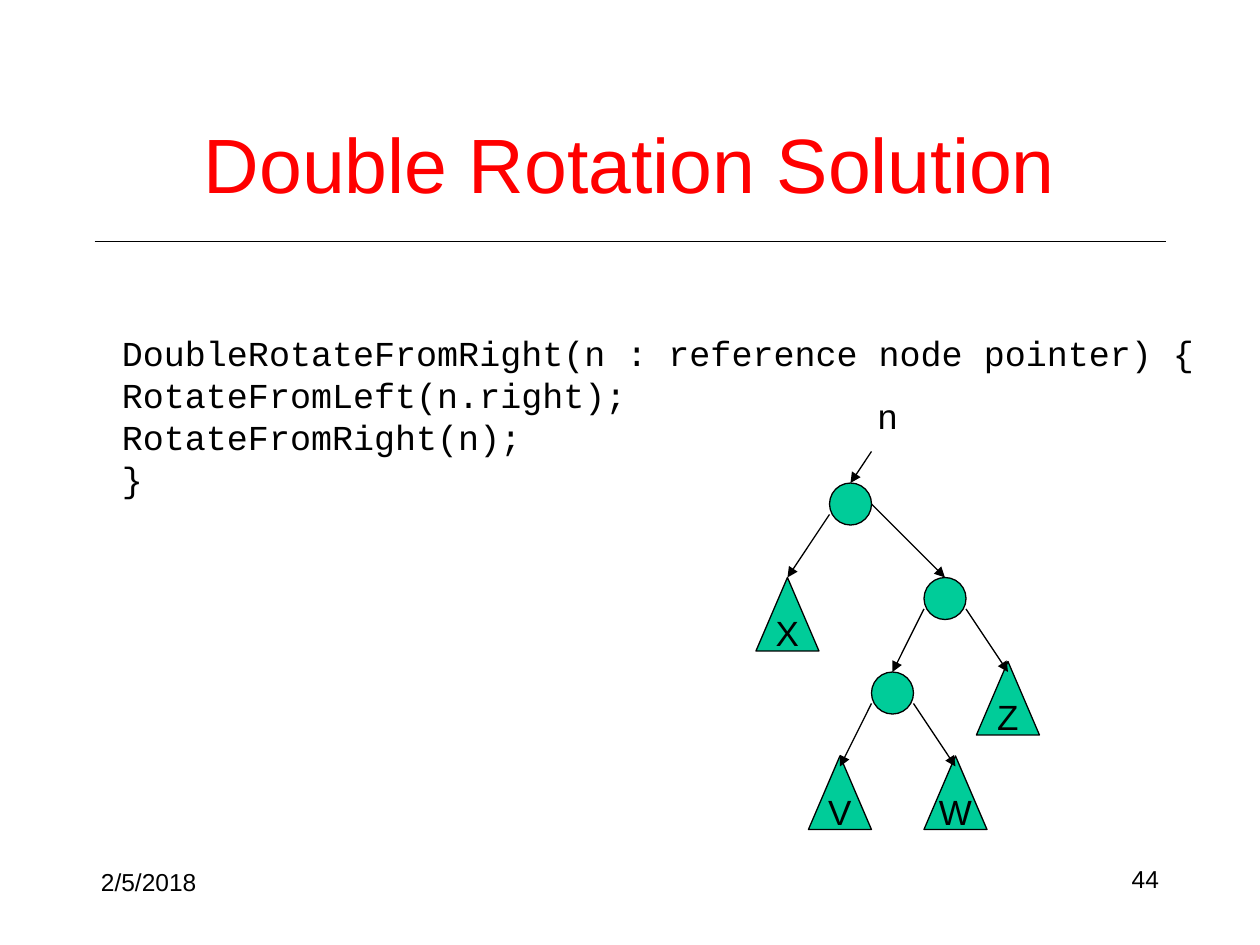
import pptx
import pptx.util
import pptx.dml.color
import pptx.enum.shapes
import pptx.enum.text
import pptx.oxml
import pptx.oxml.ns

Cm = pptx.util.Cm
Pt = pptx.util.Pt
ALIGN = pptx.enum.text.PP_ALIGN
ANCHOR = pptx.enum.text.MSO_ANCHOR
FIT = pptx.enum.text.MSO_AUTO_SIZE
SHAPE = pptx.enum.shapes.MSO_SHAPE
STRAIGHT = pptx.enum.shapes.MSO_CONNECTOR.STRAIGHT

THEME = {
    "text": "000000", "title": "FF0000", "node": "00CC99", "line": "000000",
    "sans": "Arial", "mono": "Courier New",
    "title_size": 44, "body_size": 20, "footer_size": 14, "line_width": 0.75,
}
GRID = 2.54 / 12
INSET = 0.13
CIRCLE = 4
TRIANGLE = (6, 7)
LABEL_HEIGHT = 1.04

CODE = [
    "DoubleRotateFromRight(n : reference node pointer) {",
    "RotateFromLeft(n.right);",
    "RotateFromRight(n);",
    "}",
]
NODES = {"root": (81, 46), "right": (90, 55), "middle": (85, 64)}
SUBTREES = {
    "X": (75, 55, 0.76), "V": (80, 72, 0.76),
    "W": (91, 72, 0.97), "Z": (96, 63, 0.71),
}
EDGES = [
    ((83, 43), (81, 46), "root"),
    ((79, 49), (75, 55), "X"),
    ((83, 48), (90, 55), "right"),
    ((88, 58), (85, 64), "middle"),
    ((92, 58), (96, 64), None),
    ((83, 67), (80, 73), None),
    ((87, 67), (91, 73), None),
]


def grid(n):
    return Cm(n * GRID)


def color(name):
    return pptx.dml.color.RGBColor.from_string(THEME[name])


def apply(target, values):
    for name, value in values.items():
        setattr(target, name, value)


def add_text(shapes, box, lines, size="body_size", font="sans", ink="text",
             frame=None, para=None):
    tf = shapes.add_textbox(*box).text_frame
    margins = dict.fromkeys(
        ["margin_left", "margin_top", "margin_right", "margin_bottom"], Cm(INSET))
    apply(tf, {"word_wrap": True, **margins, **(frame or {})})
    for i, line in enumerate(lines):
        p = tf.add_paragraph() if i else tf.paragraphs[0]
        apply(p, para or {})
        r = p.add_run()
        r.text = line
        apply(r.font, {"name": THEME[font], "size": Pt(THEME[size])})
        r.font.color.rgb = color(ink)


def style_line(line):
    line.color.rgb = color("line")
    line.width = Pt(THEME["line_width"])


def add_figure(shapes, kind, center, top, width, height):
    sp = shapes.add_shape(kind, grid(center - width / 2), grid(top),
                          grid(width), grid(height))
    sp.shadow.inherit = False
    sp.fill.solid()
    sp.fill.fore_color.rgb = color("node")
    style_line(sp.line)
    return sp


def add_line(shapes, start, end, target=None, arrow=True):
    c = shapes.add_connector(STRAIGHT, *map(grid, start + end))
    style_line(c.line)
    if arrow:
        tail = pptx.oxml.parse_xml(
            "<a:tailEnd %s type='triangle'/>" % pptx.oxml.ns.nsdecls("a"))
        c.line._get_or_add_ln().append(tail)
    c._element.spPr.append(pptx.oxml.parse_xml(
        "<a:effectLst %s/>" % pptx.oxml.ns.nsdecls("a")))
    if target is not None:
        c.end_connect(target, 0)


def main():
    prs = pptx.Presentation()
    apply(prs, {"slide_width": Cm(25.4), "slide_height": Cm(19.05)})
    s = prs.slides.add_slide(prs.slide_layouts[6])
    grow = {"auto_size": FIT.SHAPE_TO_FIT_TEXT}
    loose = {**grow, "word_wrap": False}
    centered = {"alignment": ALIGN.CENTER}

    add_line(s.shapes, (9, 23), (111, 23), arrow=False)
    add_text(s.shapes, (grid(86), grid(82), grid(25), Cm(0.81)), ["44"],
             "footer_size", para={"alignment": ALIGN.RIGHT, "line_spacing": 0.9})
    add_text(s.shapes, (grid(9), grid(8), grid(102), grid(15)),
             ["Double Rotation Solution"], "title_size", ink="title",
             frame={"vertical_anchor": ANCHOR.MIDDLE}, para=centered)
    add_text(s.shapes, (grid(11), grid(31), Cm(22.3), Cm(3.5)), CODE,
             font="mono", frame=loose)

    figures = {}
    for name, (center, top) in NODES.items():
        figures[name] = add_figure(s.shapes, SHAPE.OVAL, center, top, CIRCLE, CIRCLE)
    for name, (center, top, width) in SUBTREES.items():
        group = s.shapes.add_group_shape().shapes
        figures[name] = add_figure(group, SHAPE.ISOSCELES_TRIANGLE, center, top, *TRIANGLE)
        middle = grid(top + TRIANGLE[1] * 0.75)
        box = (grid(center) - Cm(width / 2), middle - Cm(LABEL_HEIGHT / 2),
               Cm(width), Cm(LABEL_HEIGHT))
        add_text(group, box, [name], para=centered,
                 frame={**loose, "vertical_anchor": ANCHOR.MIDDLE})
    for start, end, target in EDGES:
        add_line(s.shapes, start, end, figures.get(target))

    add_text(s.shapes, (grid(83), grid(37), Cm(0.69), Cm(LABEL_HEIGHT)), ["n"], frame=loose)
    add_text(s.shapes, (grid(9), grid(82), grid(25), Cm(0.86)), ["2/5/2018"],
             "footer_size", frame=grow)
    prs.save("out.pptx")


if __name__ == "__main__":
    main()
